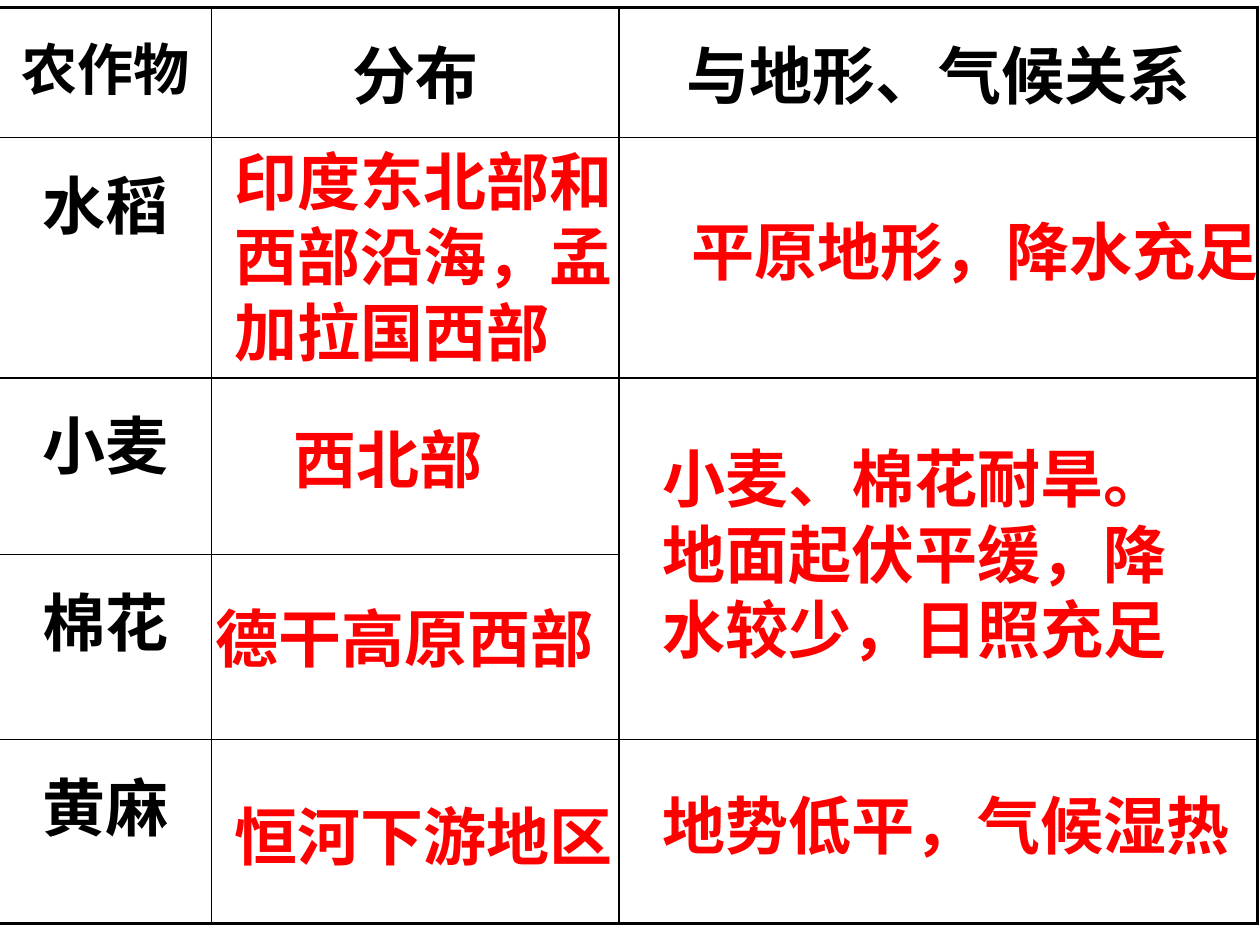
from lxml import etree
from pptx import Presentation
from pptx.dml.color import RGBColor
from pptx.enum import text
from pptx.oxml.ns import qn
from pptx.util import Pt

BLACK = RGBColor(0, 0, 0)
RED = RGBColor(255, 0, 0)
THIN, THICK = 1, 2.25
COLS = [121.7, 232.7, 365]
ROWS = [74.2, 137.5, 100.8, 105.8, 105.1]
HEADERS = ["农作物", "分布", "与地形、气候关系"]
CROPS = ["水稻", "小麦", "棉花", "黄麻"]
ANSWERS = [
    (127.4, 73.5, 246, ["印度东北部和西部沿海，孟加拉国西部"], True),
    (388.8, 113.8, 338.4, ["平原地形，降水充足"], False),
    (161.3, 232.6, 122.4, ["西北部"], False),
    (116.6, 334.8, 230.4, ["德干高原西部"], False),
    (127.4, 447.9, 230.4, ["恒河下游地区"], False),
    (372.2, 243.4, 329, ["小麦、棉花耐旱。", "地面起伏平缓，降水较少，日照充足"], True),
    (372.2, 441.4, 338.4, ["地势低平，气候湿热"], False),
]


def write(p, words, size=36, color=BLACK, align=None):
    """Add a bold run of words to a paragraph."""
    p.alignment = align
    r = p.add_run()
    r.text = words
    r.font.name = "Arial"
    r.font.size = Pt(size)
    r.font.bold = True
    r.font.color.rgb = color


def set_borders(cell, widths):
    """Draw the left, right, top and bottom borders of a cell."""
    tcPr = cell._tc.get_or_add_tcPr()
    for side, width in zip("LRTB", widths):
        ln = etree.SubElement(tcPr, qn(f"a:ln{side}"), w=str(Pt(width)))
        fill = etree.SubElement(ln, qn("a:solidFill"))
        etree.SubElement(fill, qn("a:srgbClr"), val=str(BLACK))


def add_crop_table(s, left, top, width, height):
    """Add the ruled table with its headers and crop names."""
    tbl = s.shapes.add_table(len(ROWS), len(COLS), Pt(left), Pt(top),
                             Pt(width), Pt(height)).table
    tbl.first_row = tbl.horz_banding = False
    for column, w in zip(tbl.columns, COLS):
        column.width = Pt(w)
    labels = {(0, c): words for c, words in enumerate(HEADERS)}
    labels.update({(r, 0): words for r, words in enumerate(CROPS, 1)})
    last_row, last_col = len(ROWS) - 1, len(COLS) - 1
    for r, h in enumerate(ROWS):
        tbl.rows[r].height = Pt(h)
        for c in range(len(COLS)):
            cell = tbl.cell(r, c)
            outer = [c == 0, c == last_col, r == 0, r == last_row]
            set_borders(cell, [THICK if edge else THIN for edge in outer])
            cell.fill.background()
            if (r, c) in labels:
                size = 32 if (r, c) == (0, 0) else 36
                cell.margin_top = Pt(3.6 + 0.2 * size)
                write(cell.text_frame.paragraphs[0], labels[r, c], size,
                      align=text.PP_ALIGN.CENTER)
    tbl.cell(2, 2).merge(tbl.cell(3, 2))


def add_answer(s, left, top, width, lines, wrap):
    """Add one red answer over the table."""
    height = 136.8 if wrap else 50.4
    sp = s.shapes.add_textbox(Pt(left), Pt(top), Pt(width), Pt(height))
    tf = sp.text_frame
    tf.word_wrap = wrap
    tf.auto_size = text.MSO_AUTO_SIZE.SHAPE_TO_FIT_TEXT
    for i, line in enumerate(lines):
        p = tf.add_paragraph() if i else tf.paragraphs[0]
        write(p, line, color=RED)


def add_answers(s, left, top):
    """Place all answers relative to the table's corner."""
    for x, y, width, lines, wrap in ANSWERS:
        add_answer(s, left + x, top + y, width, lines, wrap)


def main():
    """Build the slide and save it."""
    prs = Presentation()
    prs.slide_width, prs.slide_height = Pt(720), Pt(540)
    s = prs.slides.add_slide(prs.slide_layouts[6])
    left, top = -0.7, 4.3
    add_crop_table(s, left, top, sum(COLS), sum(ROWS))
    add_answers(s, left, top)
    prs.save("out.pptx")


if __name__ == "__main__":
    main()
